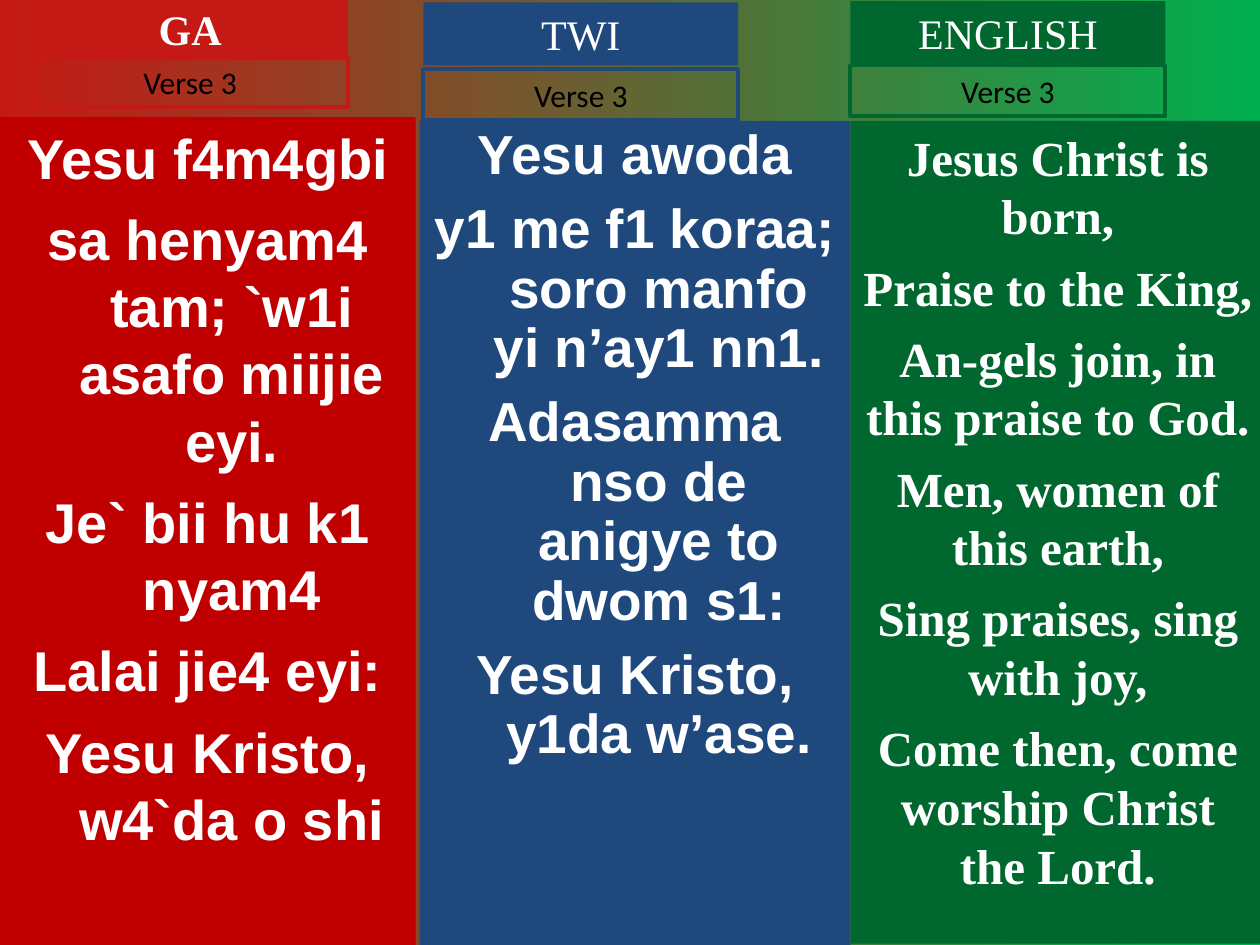
from dataclasses import dataclass

import pptx
import pptx.dml.color
import pptx.enum.dml
import pptx.enum.shapes
import pptx.enum.text
import pptx.util

WIDTH, HEIGHT = 10, 7.5
LABEL_WIDTH = WIDTH / 4
TITLE_HEIGHT, VERSE_HEIGHT = HEIGHT / 15, 0.4
WHITE, BLACK = "FFFFFF", "000000"


@dataclass
class TextStyle:
    font: str
    size: float
    color: str = WHITE
    bold: bool = False
    space_before: float = 0
    line_spacing: float = 1
    hanging: float = 0


@dataclass
class Language:
    name: str
    color: str
    label_left: float
    title_top: float
    verse_top: float
    lyrics_box: tuple[float, float, float, float]
    lyrics_style: TextStyle
    lyrics: list[str]
    title_bold: bool = False


def rgb(color: str) -> pptx.dml.color.RGBColor:
    return pptx.dml.color.RGBColor.from_string(color)


def add_panel(slide, box: tuple[float, float, float, float], lines: list[str],
              style: TextStyle, fill: str = "", outline: str = "",
              anchor=pptx.enum.text.MSO_ANCHOR.TOP) -> None:
    """Draw a rectangle with centred paragraphs."""
    panel = slide.shapes.add_shape(pptx.enum.shapes.MSO_SHAPE.RECTANGLE,
                                   *(pptx.util.Inches(length) for length in box))
    panel.shadow.inherit = False
    if fill:
        panel.fill.solid()
        panel.fill.fore_color.rgb = rgb(fill)
    else:
        panel.fill.background()
    if outline:
        panel.line.color.rgb = rgb(outline)
        panel.line.width = pptx.util.Pt(2.25)
    else:
        panel.line.fill.background()

    frame = panel.text_frame
    frame.word_wrap = True
    frame.vertical_anchor = anchor
    for index, line in enumerate(lines):
        paragraph = frame.add_paragraph() if index else frame.paragraphs[0]
        paragraph.alignment = pptx.enum.text.PP_ALIGN.CENTER
        paragraph.line_spacing = style.line_spacing
        paragraph.space_before = pptx.util.Pt(style.space_before if index else 0)
        if style.hanging:
            properties = paragraph._p.get_or_add_pPr()
            indent = pptx.util.Inches(style.hanging)
            properties.set("marL", str(indent))
            properties.set("indent", str(-indent))
        run = paragraph.add_run()
        run.text = line
        run.font.name = style.font
        run.font.size = pptx.util.Pt(style.size)
        run.font.bold = style.bold
        run.font.color.rgb = rgb(style.color)


def add_language(slide, language: Language) -> None:
    """Draw the lyrics column with its title and verse label."""
    add_panel(slide, language.lyrics_box, language.lyrics,
              language.lyrics_style, fill=language.color)
    title_color = TITLE_COLORS.get(language.name, language.color)
    middle = pptx.enum.text.MSO_ANCHOR.MIDDLE
    add_panel(slide, (language.label_left, language.title_top, LABEL_WIDTH, TITLE_HEIGHT),
              [language.name],
              TextStyle("Times New Roman", 24, bold=language.title_bold),
              fill=title_color, anchor=middle)
    add_panel(slide, (language.label_left, language.verse_top, LABEL_WIDTH, VERSE_HEIGHT),
              ["Verse 3"], TextStyle("Calibri", 18, BLACK),
              outline=title_color, anchor=middle)


TITLE_COLORS = {"GA": "C51915"}

LANGUAGES = [
    Language("GA", "C00000", 0.26, -0.02, 0.45, (0, 0.93, 3.3, 6.57),
             TextStyle("Arial", 32, bold=True, space_before=8, hanging=0.38),
             ["Yesu f4m4gbi",
              "sa henyam4 tam; `w1i asafo miijie eyi.",
              "Je` bii hu k1 nyam4",
              "Lalai jie4 eyi:",
              "Yesu Kristo, w4`da o shi"], title_bold=True),
    Language("TWI", "1F497D", 3.36, 0.02, 0.55, (3.33, 0.96, 3.42, 6.54),
             TextStyle("Arial", 31.4, bold=True, space_before=8.5,
                       line_spacing=0.9, hanging=0.38),
             ["Yesu awoda",
              "y1 me f1 koraa; soro manfo yi n’ay1 nn1.",
              "Adasamma nso de anigye to dwom s1:",
              "Yesu Kristo, y1da w’ase."]),
    Language("ENGLISH", "00682F", 6.75, 0.01, 0.52, (6.75, 0.96, 3.29, 6.53),
             TextStyle("Times New Roman", 28, bold=True, space_before=7),
             ["Jesus Christ is born,",
              "Praise to the King,",
              "An-gels join, in this praise to God.",
              "Men, women of this earth,",
              "Sing praises, sing with joy,",
              "Come then, come worship Christ the Lord."]),
]


def main() -> None:
    presentation = pptx.Presentation()
    presentation.slide_width = pptx.util.Inches(WIDTH)
    presentation.slide_height = pptx.util.Inches(HEIGHT)
    slide = presentation.slides.add_slide(presentation.slide_layouts[6])

    # Background runs from red on the left to green on the right
    background = slide.background.fill
    background.gradient()
    background.gradient_angle = 0
    for stop, color, position in zip(background.gradient_stops,
                                     ("C51915", "00B050"), (0, 1)):
        stop.color.rgb = rgb(color)
        stop.position = position

    # One column per language
    for language in LANGUAGES:
        add_language(slide, language)

    presentation.save("out.pptx")


if __name__ == "__main__":
    main()
